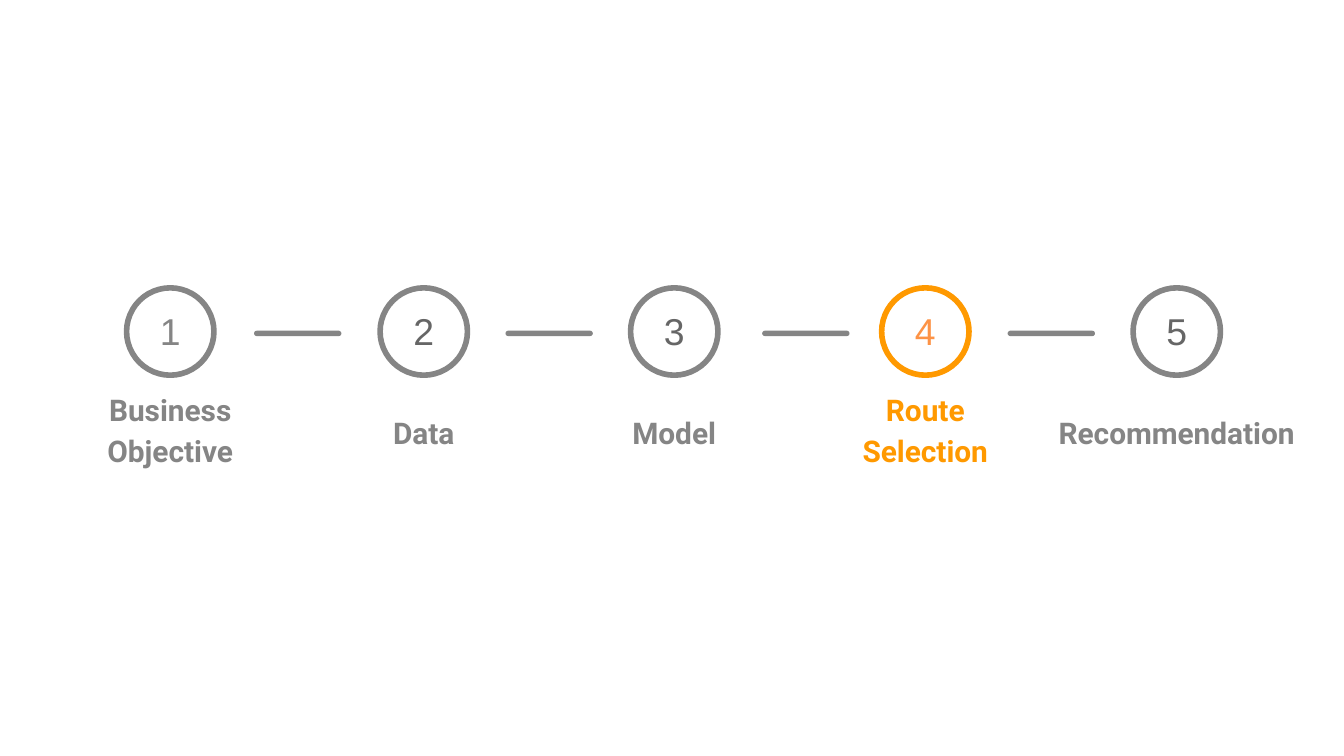
import dataclasses

import pptx
import pptx.dml.color
import pptx.enum.shapes
import pptx.enum.text
import pptx.shapes.autoshape
import pptx.slide
import pptx.util

Pt = pptx.util.Pt
GRAY = "858585"
DARK_GRAY = "666666"
ORANGE = "FF9900"
LIGHT_ORANGE = "FD9346"
DIAMETER = 46.8
CIRCLE_TOP = 154.2
NUMBER_FORMAT = {"name": "Arial", "size": Pt(20), "bold": False}
LABEL_FORMAT = {"name": "Roboto", "size": Pt(16), "bold": True}


@dataclasses.dataclass(frozen=True)
class Step:
    center: float
    label: str
    label_width: float
    number_color: str = DARK_GRAY
    accent: str = GRAY


STEPS = [
    Step(91.2, "Business\vObjective", 75.6, number_color=GRAY),
    Step(227, "Data", 36.7),
    Step(361.2, "Model", 51.8),
    Step(495.7, "Route\vSelection", 75.6, LIGHT_ORANGE, ORANGE),
    Step(630.4, "Recommendation", 136),
]
BAR_LEFTS = [136.1, 270.8, 408.3, 539.8]


def color(value: str) -> pptx.dml.color.RGBColor:
    return pptx.dml.color.RGBColor.from_string(value)


def add_circle(slide: pptx.slide.Slide, step: Step) -> None:
    shape = slide.shapes.add_shape(
        pptx.enum.shapes.MSO_SHAPE.OVAL,
        Pt(step.center - DIAMETER / 2), Pt(CIRCLE_TOP), Pt(DIAMETER), Pt(DIAMETER),
    )
    shape.shadow.inherit = False
    shape.fill.background()
    shape.line.color.rgb = color(step.accent)
    shape.line.width = Pt(3)


def add_bar(slide: pptx.slide.Slide, left: float) -> None:
    shape = slide.shapes.add_shape(
        pptx.enum.shapes.MSO_SHAPE.ROUNDED_RECTANGLE,
        Pt(left), Pt(177.2), Pt(46.8), Pt(2.9),
    )
    shape.adjustments[0] = 0.5
    shape.shadow.inherit = False
    shape.fill.solid()
    shape.fill.fore_color.rgb = color(GRAY)
    shape.line.fill.background()


def add_centered_text(
    slide: pptx.slide.Slide, text: str, center: float, top: float,
    width: float, height: float, font_format: dict, text_color: str,
    line_spacing: float = 1.0,
) -> None:
    shape = slide.shapes.add_textbox(
        Pt(center - width / 2), Pt(top), Pt(width), Pt(height)
    )
    frame = shape.text_frame
    frame_format = {
        "margin_left": 0, "margin_right": 0, "margin_bottom": 0,
        "margin_top": Pt(0.9), "word_wrap": True,
    }
    for name, value in frame_format.items():
        setattr(frame, name, value)
    paragraph = frame.paragraphs[0]
    paragraph.text = text
    paragraph.alignment = pptx.enum.text.PP_ALIGN.CENTER
    paragraph.space_before = Pt(1)
    paragraph.line_spacing = line_spacing
    for run in paragraph.runs:
        for name, value in font_format.items():
            setattr(run.font, name, value)
        run.font.color.rgb = color(text_color)


def add_step(slide: pptx.slide.Slide, number: int, step: Step) -> None:
    add_circle(slide, step)
    add_centered_text(
        slide, str(number), step.center, 164.2, 13, 25.9,
        NUMBER_FORMAT, step.number_color,
    )
    two_lines = "\v" in step.label
    top, height, spacing = (206.6, 43.2, 1.13) if two_lines else (221, 20.9, 1.0)
    add_centered_text(
        slide, step.label, step.center, top, step.label_width, height,
        LABEL_FORMAT, step.accent, spacing,
    )


def main() -> None:
    presentation = pptx.Presentation()
    presentation.slide_width = Pt(720)
    presentation.slide_height = Pt(405)
    slide = presentation.slides.add_slide(presentation.slide_layouts[6])
    for left in BAR_LEFTS:
        add_bar(slide, left)
    for number, step in enumerate(STEPS, start=1):
        add_step(slide, number, step)
    presentation.save("out.pptx")


if __name__ == "__main__":
    main()
